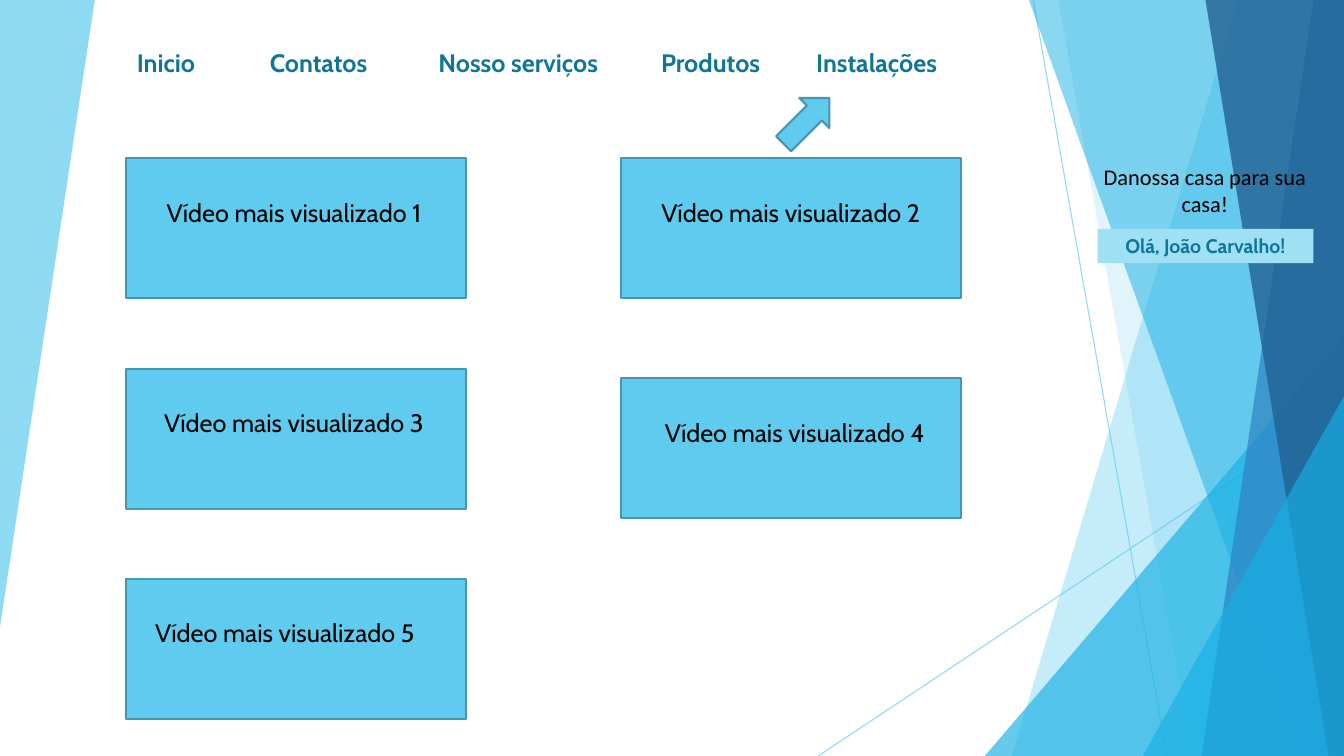
from pptx import Presentation
from pptx.dml.color import RGBColor
from pptx.enum.shapes import MSO_CONNECTOR, MSO_SHAPE
from pptx.enum.text import PP_ALIGN
from pptx.oxml.ns import qn
from pptx.util import Cm, Pt
from lxml import etree

LINE = MSO_CONNECTOR.STRAIGHT
RECT = MSO_SHAPE.RECTANGLE
ARROW = MSO_SHAPE.RIGHT_ARROW
WEDGE = MSO_SHAPE.ISOSCELES_TRIANGLE
LEFT = PP_ALIGN.LEFT
CENTER = PP_ALIGN.CENTER

SKY = RGBColor(0x5F, 0xCB, 0xEF)
CYAN = RGBColor(0x17, 0xB0, 0xE4)
BLUE = RGBColor(0x2E, 0x83, 0xC3)
NAVY = RGBColor(0x22, 0x62, 0x92)
PALE = RGBColor(0x9F, 0xE0, 0xF5)
EDGE = RGBColor(0x46, 0x96, 0xB1)
TEAL = RGBColor(0x0F, 0x76, 0x98)
BLACK = RGBColor(0, 0, 0)

WIDE, HIGH = 33.87, 19.05


def fade(fill, alpha):
    color = fill._xPr.find(".//" + qn("a:srgbClr"))
    etree.SubElement(color, qn("a:alpha")).set("val", str(alpha * 1000))


def paint(shape, color, alpha=100):
    shape.shadow.inherit = False
    shape.fill.solid()
    shape.fill.fore_color.rgb = color
    shape.line.fill.background()
    if alpha < 100:
        fade(shape.fill, alpha)


def outline(shape):
    shape.line.color.rgb = EDGE
    shape.line.width = Pt(1.5)


def add_facet(slide, points, color, alpha):
    spots = [(Cm(x), Cm(y)) for x, y in points]
    maker = slide.shapes.build_freeform(*spots[0], scale=1.0)
    maker.add_line_segments(spots[1:], close=True)
    paint(maker.convert_to_shape(), color, alpha)


def add_band(slide, top, base, color, alpha):
    points = [(top, 0), (WIDE, 0), (WIDE, HIGH), (base, HIGH)]
    add_facet(slide, points, color, alpha)


def add_wedge(slide, x, y):
    shape = slide.shapes.add_shape(
        WEDGE, Cm(x), Cm(y), Cm(WIDE - x), Cm(HIGH - y))
    shape.adjustments[0] = 1
    paint(shape, CYAN, 66)


def add_ray(slide, x1, y1, x2, y2):
    ray = slide.shapes.add_connector(LINE, Cm(x1), Cm(y1), Cm(x2), Cm(y2))
    ray.line.color.rgb = SKY
    ray.line.width = Pt(0.75)
    fade(ray.line.fill, 70)
    etree.SubElement(ray._element.spPr, qn("a:effectLst"))


def add_decor(slide):
    add_facet(slide, [(0, 0), (2.39, 0), (0, 15.8)], SKY, 70)
    add_ray(slide, 26.04, 0, 29.41, HIGH)
    add_ray(slide, WIDE, 10.24, 20.62, HIGH)
    add_band(slide, 31.19, 25.5, SKY, 36)
    add_band(slide, 26.67, 30.05, SKY, 20)
    add_wedge(slide, 24.82, 8.46)
    add_band(slide, 25.93, 32.79, CYAN, 50)
    add_band(slide, 33.1, 30.28, BLUE, 70)
    add_band(slide, 30.38, 33.48, NAVY, 80)
    add_wedge(slide, 28.8, 9.98)


def write(shape, text, size, color, bold=False, align=CENTER, face="Cabin"):
    frame = shape.text_frame
    frame.word_wrap = True
    frame.text = text
    para = frame.paragraphs[0]
    para.alignment = align
    font = para.runs[0].font
    font.name = face
    font.size = Pt(size)
    font.bold = bold
    font.color.rgb = color


def add_label(slide, x, y, w, h, text, size, color, **style):
    box = slide.shapes.add_textbox(Cm(x), Cm(y), Cm(w), Cm(h))
    write(box, text, size, color, **style)


def add_block(slide, kind, x, y, w, h, color):
    shape = slide.shapes.add_shape(kind, Cm(x), Cm(y), Cm(w), Cm(h))
    paint(shape, color)
    return shape


def add_video(slide, x, y, inset, number):
    outline(add_block(slide, RECT, x, y, 8.56, 3.53, SKY))
    add_label(slide, x + inset, y + 0.86, 7.24, 1.8,
              f"Vídeo mais visualizado {number}", 18, BLACK)


def add_menu(slide):
    items = [
        ("Inicio", 3.2, 2.87),
        ("Contatos", 6.55, 3.73),
        ("Nosso serviços", 10.8, 5.11),
        ("Produtos", 16.41, 5.69),
        ("Instalações", 20.32, 5.49),
    ]
    for text, x, w in items:
        add_label(slide, x, 1.07, w, 1.02, text, 18, TEAL,
                  bold=True, align=LEFT)


def add_welcome(slide):
    add_label(slide, 27.43, 3.99, 5.87, 1.63, "Danossa casa para sua casa!",
              16, BLACK, face="Calibri")
    badge = add_block(slide, RECT, 27.66, 5.77, 5.44, 0.86, PALE)
    write(badge, "Olá, João Carvalho!", 14, TEAL, bold=True)


def main():
    deck = Presentation()
    deck.slide_width = Cm(WIDE)
    deck.slide_height = Cm(HIGH)
    slide = deck.slides.add_slide(deck.slide_layouts[6])
    add_decor(slide)
    add_menu(slide)
    add_welcome(slide)
    arrow = add_block(slide, ARROW, 19.51, 2.51, 1.63, 1.07, SKY)
    arrow.rotation = 315
    outline(arrow)
    videos = [
        (3.18, 3.99, 0.61),
        (15.65, 3.99, 0.66),
        (3.18, 9.29, 0.61),
        (15.65, 9.52, 0.76),
        (3.18, 14.58, 0.38),
    ]
    for number, (x, y, inset) in enumerate(videos, 1):
        add_video(slide, x, y, inset, number)
    deck.save("out.pptx")


if __name__ == "__main__":
    main()
